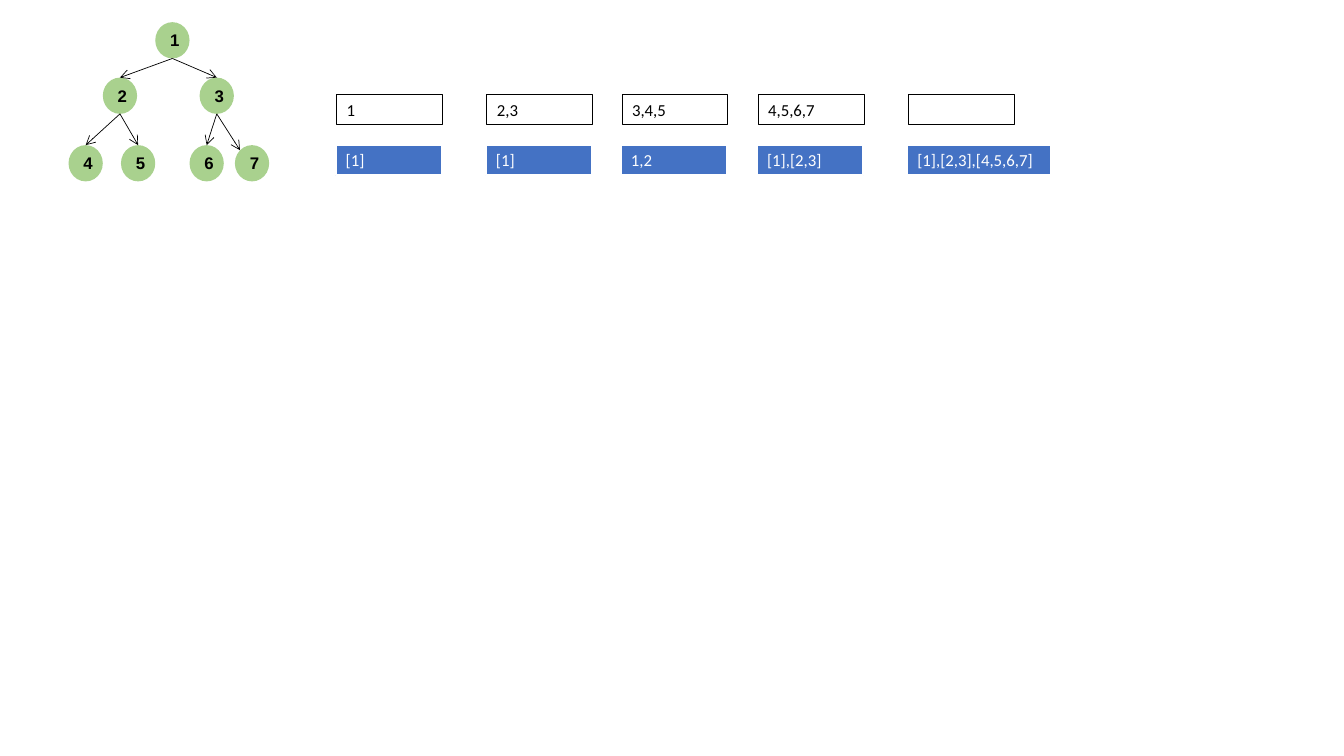
"""Build a slide that shows a binary tree and its level-order traversal steps."""
from lxml import etree
from pptx import Presentation
from pptx.dml.color import RGBColor
from pptx.enum.shapes import MSO_CONNECTOR, MSO_SHAPE
from pptx.enum.text import MSO_ANCHOR, PP_ALIGN
from pptx.oxml.ns import qn
from pptx.util import Inches, Pt

ELLIPSE, STRAIGHT = MSO_SHAPE.OVAL, MSO_CONNECTOR.STRAIGHT
MIDDLE, TOP = MSO_ANCHOR.MIDDLE, MSO_ANCHOR.TOP
CENTER, LEFT = PP_ALIGN.CENTER, PP_ALIGN.LEFT

NODES = {
    1: (1.54, 0.22),
    2: (1.02, 0.77), 3: (1.98, 0.77),
    4: (0.68, 1.44), 5: (1.2, 1.44), 6: (1.88, 1.44), 7: (2.33, 1.44),
}
NODE_WIDTH, NODE_HEIGHT = 0.34, 0.36
CORNER_NODE, CORNER_INSET = 7, 0.05

STEPS = [
    (3.34, "1", "[1]", 1.05),
    (4.83, "2,3", "[1]", 1.05),
    (6.17, "3,4,5", "1,2", 1.05),
    (7.52, "4,5,6,7", "[1],[2,3]", 1.05),
    (9.01, "", "[1],[2,3],[4,5,6,7]", 1.43),
]
QUEUE_TOP, RESULT_TOP = 0.94, 1.44
QUEUE_WIDTH, BOX_HEIGHT = 1.05, 0.3

NODE_FONT = {"name": "Arial", "size": Pt(12), "bold": True}
BOX_FONT = {"name": "Calibri", "size": Pt(12)}


def color(value):
    return RGBColor.from_string(value)


def write_text(shape, text, font_format, font_color, anchor, alignment):
    frame = shape.text_frame
    frame.word_wrap = True
    frame.vertical_anchor = anchor
    if not text:
        return
    paragraph = frame.paragraphs[0]
    paragraph.alignment = alignment
    run = paragraph.add_run()
    run.text = text
    for name, value in font_format.items():
        setattr(run.font, name, value)
    run.font.color.rgb = color(font_color)


def add_node(slide, number, left, top):
    shape = slide.shapes.add_shape(
        ELLIPSE, *map(Inches, (left, top, NODE_WIDTH, NODE_HEIGHT)))
    shape.shadow.inherit = False
    shape.fill.solid()
    shape.fill.fore_color.rgb = color("A9D18E")
    shape.line.fill.background()
    write_text(shape, str(number), NODE_FONT, "000000", MIDDLE, CENTER)


def add_edge(slide, child):
    parent_left, parent_top = NODES[child // 2]
    child_left, child_top = NODES[child]
    start = (parent_left + NODE_WIDTH / 2, parent_top + NODE_HEIGHT)
    end = (child_left + NODE_WIDTH / 2, child_top)
    if child == CORNER_NODE:
        end = (child_left + CORNER_INSET, child_top + CORNER_INSET)
    connector = slide.shapes.add_connector(STRAIGHT, *map(Inches, start + end))
    connector.line.width = Pt(0.5)
    connector.line.color.rgb = color("000000")
    etree.SubElement(connector.line._get_or_add_ln(), qn("a:tailEnd"), type="arrow")
    etree.SubElement(connector._element.spPr, qn("a:effectLst"))


def add_box(slide, text, left, top, width, fill, line, line_width, font_color):
    box = slide.shapes.add_textbox(*map(Inches, (left, top, width, BOX_HEIGHT)))
    if fill:
        box.fill.solid()
        box.fill.fore_color.rgb = color(fill)
    box.line.color.rgb = color(line)
    box.line.width = Pt(line_width)
    write_text(box, text, BOX_FONT, font_color, TOP, LEFT)


def main():
    presentation = Presentation()
    presentation.slide_width = Inches(13.33)
    presentation.slide_height = Inches(7.5)
    slide = presentation.slides.add_slide(presentation.slide_layouts[6])
    for number, (left, top) in NODES.items():
        add_node(slide, number, left, top)
    for child in list(NODES)[1:]:
        add_edge(slide, child)
    for left, queue, result, result_width in STEPS:
        add_box(slide, queue, left, QUEUE_TOP, QUEUE_WIDTH,
                None, "000000", 0.75, "000000")
        add_box(slide, result, left - 0.01, RESULT_TOP, result_width,
                "4472C4", "FFFFFF", 1.5, "FFFFFF")
    presentation.save("out.pptx")


if __name__ == "__main__":
    main()
